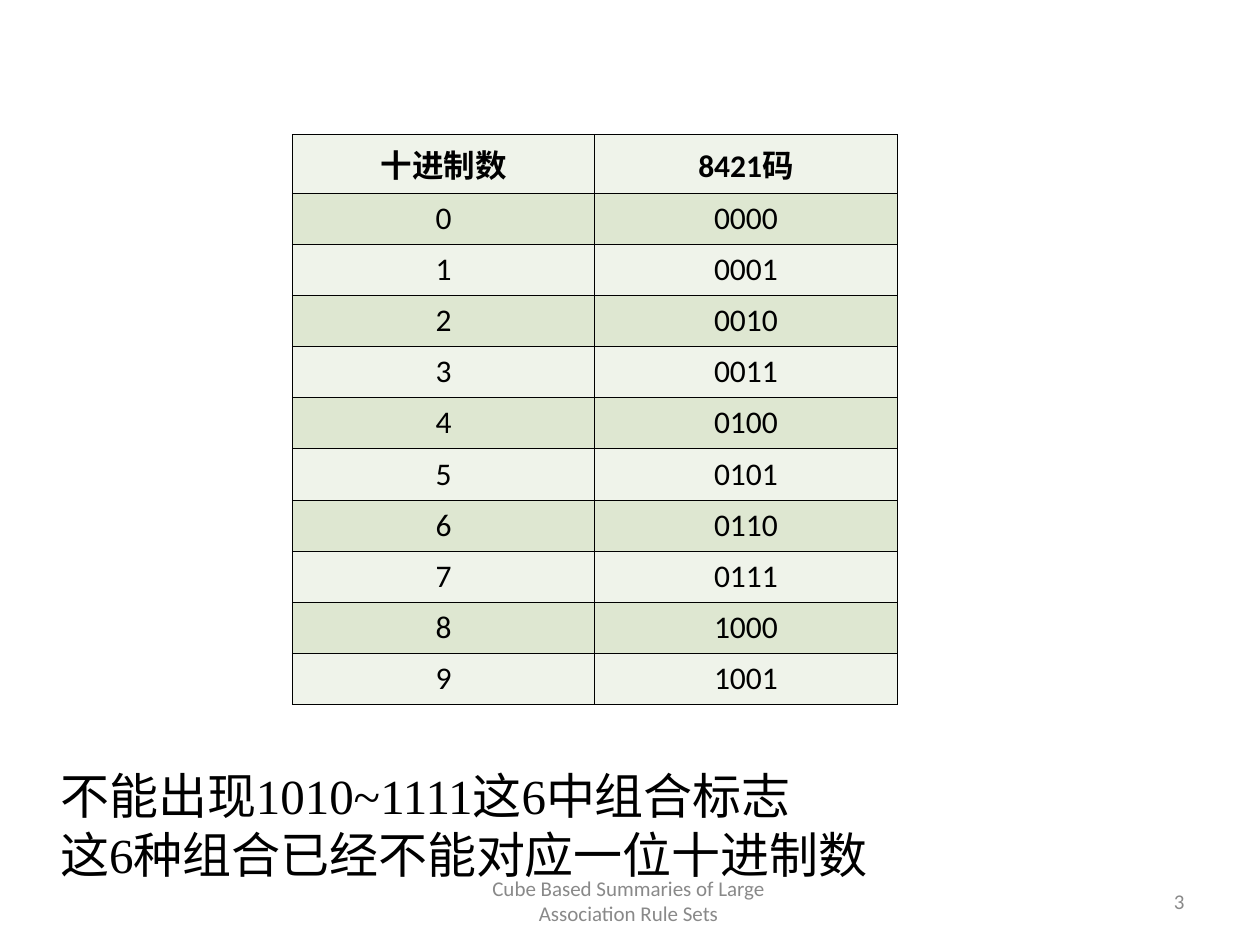
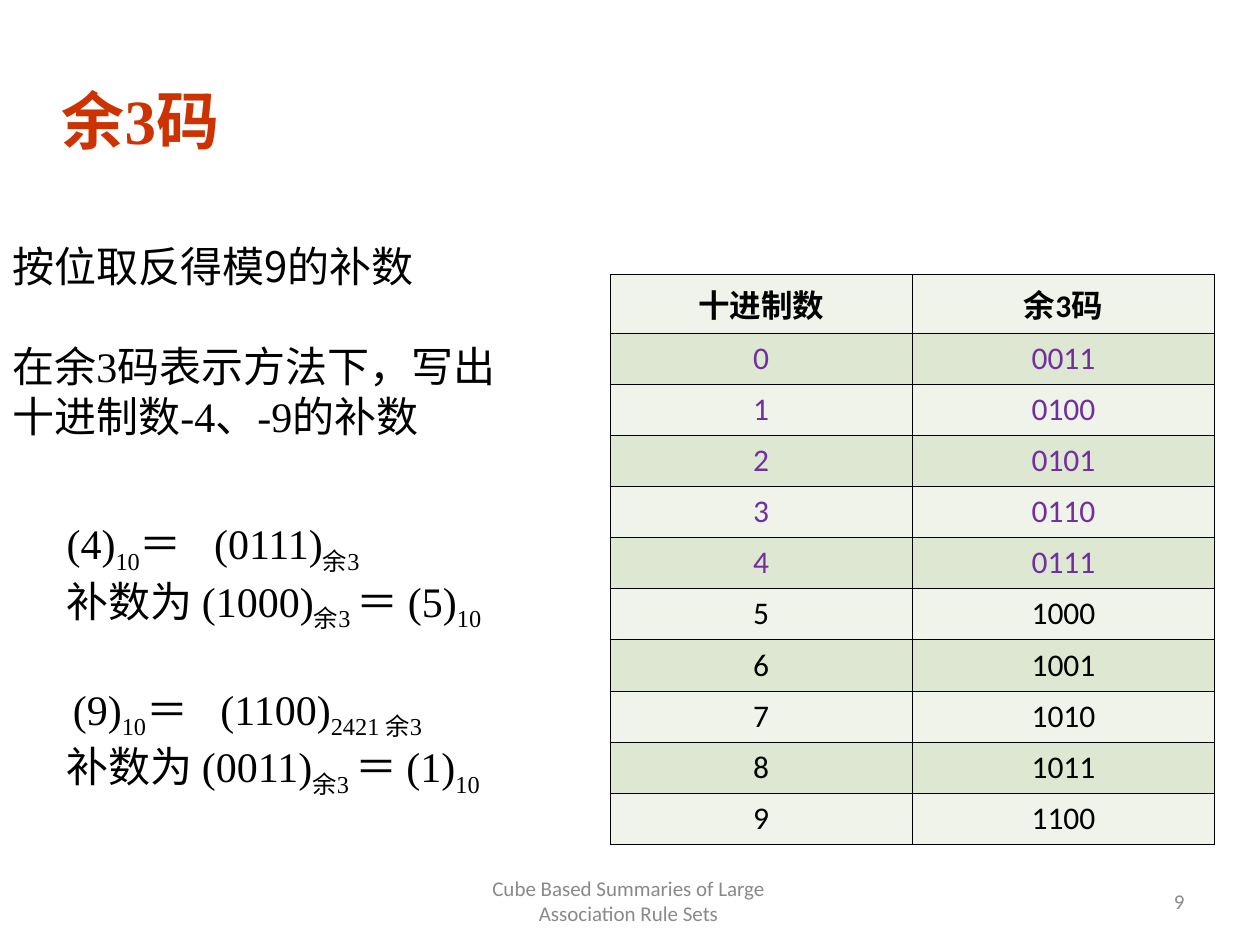
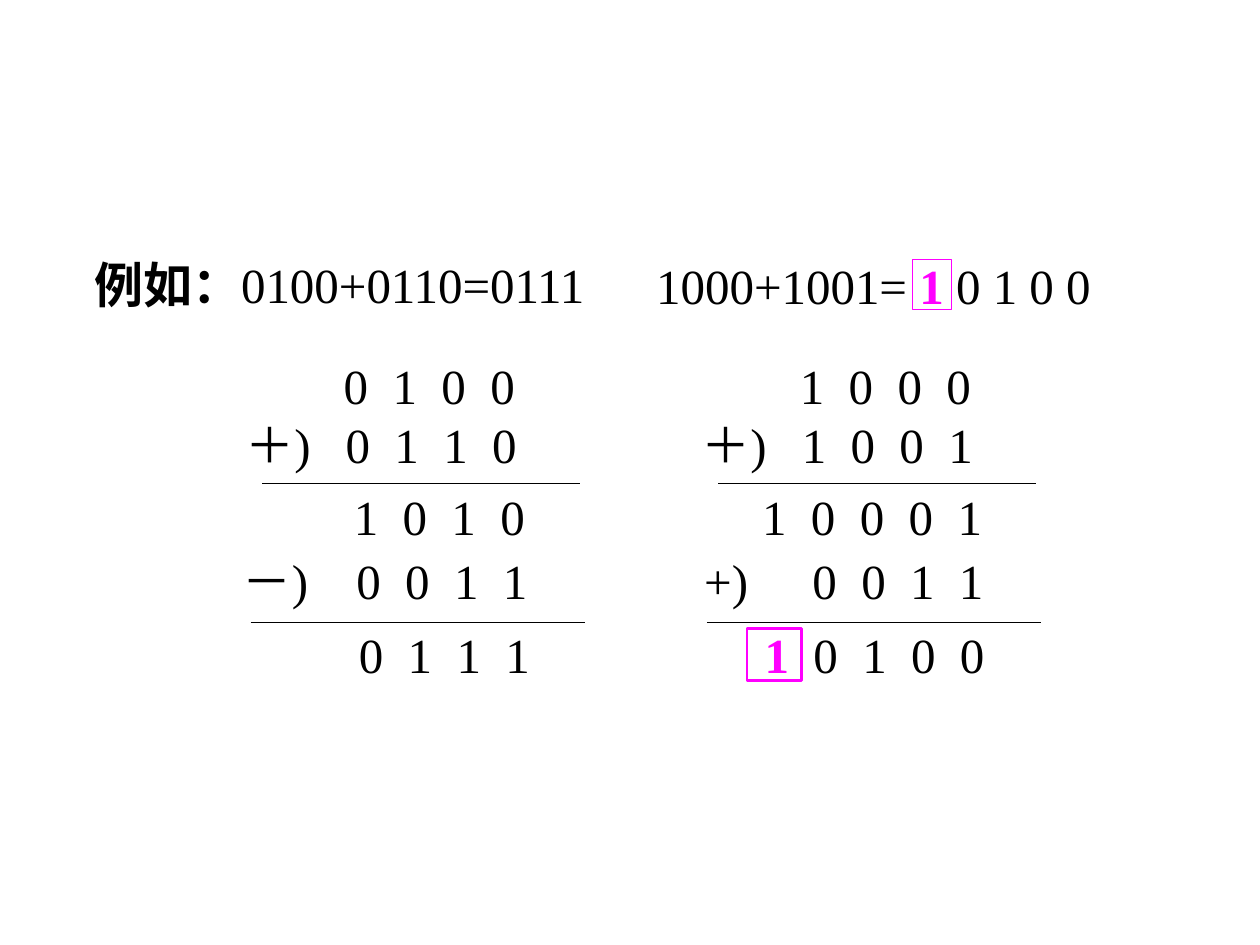
from lxml.etree import SubElement
from pptx import Presentation
from pptx.dml.color import RGBColor
from pptx.enum.shapes import MSO_CONNECTOR, MSO_SHAPE
from pptx.enum.text import MSO_ANCHOR, MSO_AUTO_SIZE, PP_ALIGN
from pptx.oxml.ns import qn
from pptx.util import Inches, Pt

COLORS = {
    "text": "000000", "title": "CC3300", "footer": "898989", "border": "000000",
    "light": "EFF3EA", "band": "DEE7D1", "paired": "7030A0", "carry": "FF00FF",
}
SERIF, SANS, CJK = "Times New Roman", "Calibri", "Noto Sans CJK SC"
FOOTER = "Cube Based Summaries of Large Association Rule Sets"
SUB = {"baseline": "-25000"}
WIDE = {"spc": "350"}
GAP = {"spc": "1300"}
HEADER_HEIGHT, ROW_HEIGHT = 0.46, 0.406
COLUMN_STEP = 3.62


def rgb(name):
    """Return the named colour."""
    return RGBColor.from_string(COLORS[name])


def set_font(font, size, name=SERIF, color="text", bold=False):
    """Set the usual properties of a font."""
    font.size, font.name, font.bold = Pt(size), name, bold
    font.color.rgb = rgb(color)


def add_run(p, text, attrs=None, color=None):
    """Add a run, with raw attributes or a bold accent colour if given."""
    r = p.add_run()
    r.text = text
    for key, value in (attrs or {}).items():
        r._r.get_or_add_rPr().set(key, value)
    if color:
        r.font.bold = True
        r.font.color.rgb = rgb(color)


def set_indent(p, indent):
    """Indent a whole paragraph from the left."""
    pPr = p._p.get_or_add_pPr()
    pPr.set("marL", str(Inches(indent)))
    pPr.set("indent", "0")


def add_text(s, box, paragraphs, size, indents=(), wrap=True, align=PP_ALIGN.LEFT,
             anchor=MSO_ANCHOR.TOP, right_inset=0.1, **font):
    """Add a text box; each paragraph is a list of run argument tuples."""
    tf = s.shapes.add_textbox(*map(Inches, box)).text_frame
    tf.word_wrap = wrap
    tf.auto_size = MSO_AUTO_SIZE.NONE if wrap else MSO_AUTO_SIZE.SHAPE_TO_FIT_TEXT
    tf.vertical_anchor = anchor
    tf.margin_right = Inches(right_inset)
    for i, runs in enumerate(paragraphs):
        p = tf.add_paragraph() if i else tf.paragraphs[0]
        if indents:
            set_indent(p, indents[i])
        p.alignment = align
        set_font(p.font, size, **font)
        for run in runs:
            add_run(p, *run)
    return tf


def add_footer(s, number):
    """Add the running footer and the page number."""
    style = dict(size=12, name=SANS, color="footer", anchor=MSO_ANCHOR.MIDDLE)
    add_text(s, (3.42, 6.95, 3.17, 0.4), [[(FOOTER,)]], align=PP_ALIGN.CENTER,
             right_inset=0.13, **style)
    add_text(s, (7.17, 6.95, 2.33, 0.4), [[(str(number),)]], align=PP_ALIGN.RIGHT, **style)


def add_borders(cell):
    """Draw a hairline on all sides of a cell."""
    tcPr = cell._tc.get_or_add_tcPr()
    for i, side in enumerate(("lnL", "lnR", "lnT", "lnB")):
        ln = tcPr.makeelement(qn("a:" + side), {"w": str(Pt(0.45))})
        fill = SubElement(ln, qn("a:solidFill"))
        SubElement(fill, qn("a:srgbClr"), val=COLORS["border"])
        tcPr.insert(i, ln)


def add_code_table(s, left, top, heading, first_code, paired=0):
    """Add a table of the ten digits and their codes, counting up from first_code."""
    rows = [("十进制数", heading)]
    rows += [(str(d), f"{d + first_code:04b}") for d in range(10)]
    height = HEADER_HEIGHT + 10 * ROW_HEIGHT
    table = s.shapes.add_table(len(rows), 2, Inches(left), Inches(top),
                               Inches(4.8), Inches(height)).table
    table.first_row = table.horz_banding = False
    for y, row in enumerate(rows):
        table.rows[y].height = Inches(ROW_HEIGHT if y else HEADER_HEIGHT)
        for x, text in enumerate(row):
            cell = table.cell(y, x)
            cell.fill.solid()
            cell.fill.fore_color.rgb = rgb("band" if y % 2 else "light")
            add_borders(cell)
            p = cell.text_frame.paragraphs[0]
            p.alignment = PP_ALIGN.CENTER
            r = p.add_run()
            r.text = text
            color = "paired" if 1 <= y <= paired else "text"
            set_font(r.font, 18, SANS, color, bold=y == 0)


def add_rule(s, x1, x2, y):
    """Draw a thin horizontal line."""
    line = s.shapes.add_connector(MSO_CONNECTOR.STRAIGHT, Inches(x1), Inches(y),
                                  Inches(x2), Inches(y))
    line.line.color.rgb = rgb("text")
    line.line.width = Pt(0.74)
    SubElement(line._element.spPr, qn("a:effectLst"))


def add_carry_frame(s, box, width):
    """Frame a carry digit."""
    sp = s.shapes.add_shape(MSO_SHAPE.RECTANGLE, *map(Inches, box))
    sp.shadow.inherit = False
    sp.fill.background()
    sp.line.color.rgb = rgb("carry")
    sp.line.width = Pt(width)


def add_sum(s, dx, terms, total, sign, fix, result):
    """Write one column addition; total, sign and result are (left, width, runs)."""
    def digits(left, top, width, runs):
        add_text(s, (left, top, width, 0.57), [runs], 28, right_inset=0)

    add_text(s, (1.85 + dx, 2.77, 2.46, 1.04),
             [[(terms[0], WIDE)], [("＋)",), (" ", GAP), (terms[1], WIDE)]], 28,
             indents=(0.78, 0), right_inset=0)
    add_rule(s, 2.08 + dx, 4.6 + dx, 3.84)
    digits(total[0], 3.81, *total[1:])
    digits(sign[0], 4.32, *sign[1:])
    digits(2.73 + dx, 4.32, 1.56, [(fix, WIDE)])
    add_rule(s, 1.99 + dx, 4.64 + dx, 4.94)
    digits(result[0], 4.91, *result[1:])


def build_8421(s):
    """8421 code table and the unused combinations."""
    add_footer(s, 3)
    add_code_table(s, 2.32, 1.07, "8421码", 0)
    add_text(s, (0.38, 6.03, 7, 1.04),
             [[("不能出现1010~1111这6中组合标志",)],
              [("这6种组合已经不能对应一位十进制数",)]], 28)


def build_excess3(s):
    """Excess-3 code table and its complements."""
    add_footer(s, 9)
    add_code_table(s, 4.84, 2.18, "余3码", 3, paired=5)
    add_text(s, (0, 2.65, 4.52, 0.9),
             [[("在余3码表示方法下，写出",)], [("十进制数-4、-9的补数",)]], 24)

    def complement(code, digit):
        return [(f"补数为 ({code})",), ("余3 ", SUB), (f"＝ ({digit})",), ("10", SUB)]

    def value(digit, code, base):
        return [(f"({digit})",), ("10", SUB), ("＝",), (" ", GAP), (f"({code})",),
                (base, SUB)]

    tf = add_text(s, (0.43, 4.06, 4.08, 3.74),
                  [value(4, "0111", "余3"), complement("1000", 5),
                   value(9, "1100", "2421 余3"), complement("0011", 1)], 24,
                  indents=(0, 0, 0.05, 0))
    tf.paragraphs[2].space_before = Pt(29)
    add_text(s, (0.39, 0.6, 1.69, 0.7), [[("余3码",)]], 36, wrap=False,
             color="title", bold=True)
    tf = add_text(s, (0, 1.86, 4.24, 0.5), [[("按位取反得模9的补数",)]], 24, name=CJK)
    tf.paragraphs[0].space_before = Pt(6)


def build_addition(s):
    """Two worked additions, side by side."""
    add_sum(s, 0, ("0 1 0 0", "0 1 1 0"), (2.71, 1.56, [("1 0 1 0", WIDE)]),
            (1.83, 0.81, [("－)",)]), "0 0 1 1", (2.75, 1.56, [("0 1 1 1", WIDE)]))
    add_text(s, (0.65, 1.97, 4.22, 0.57),
             [[("例如：", None, "text"), ("0100+0110=0111",)]], 28, wrap=False)
    add_sum(s, COLUMN_STEP, ("1 0 0 0", "1 0 0 1"),
            (5.95, 1.95, [("1 0 0 0 1", WIDE)]), (5.49, 0.55, [("+)",)]), "0 0 1 1",
            (5.97, 1.94, [("1", WIDE, "carry"), (" 0 1 0 0", WIDE)]))
    add_carry_frame(s, (5.93, 4.99, 0.43, 0.41), 1.5)
    add_carry_frame(s, (7.24, 2.06, 0.31, 0.4), 0.74)
    add_text(s, (5.11, 1.98, 3.65, 0.57),
             [[("1000+1001= ",), ("1", None, "carry"), (" 0 1 0 0",)]], 28, wrap=False)


def main():
    """Build the three slides and save them."""
    prs = Presentation()
    prs.slide_width, prs.slide_height = Inches(10), Inches(7.5)
    for build in (build_8421, build_excess3, build_addition):
        build(prs.slides.add_slide(prs.slide_layouts[6]))
    prs.save("out.pptx")


main()
